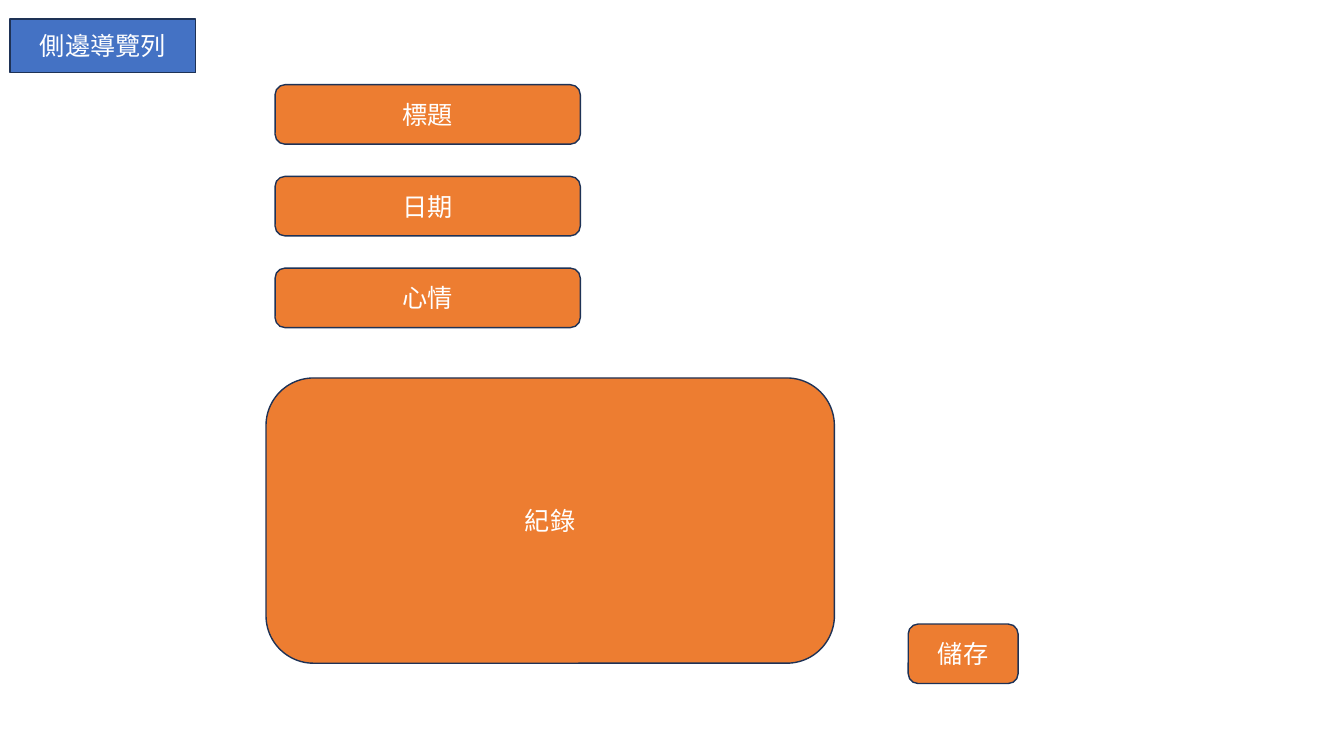
from dataclasses import dataclass

from pptx import Presentation
from pptx.dml.color import RGBColor
from pptx.enum.shapes import MSO_SHAPE
from pptx.enum.text import MSO_ANCHOR, PP_ALIGN
from pptx.util import Pt


@dataclass(frozen=True)
class Theme:
    navigation: RGBColor = RGBColor(0x44, 0x72, 0xC4)
    control: RGBColor = RGBColor(0xED, 0x7D, 0x31)
    outline: RGBColor = RGBColor(0x1E, 0x32, 0x56)
    text: RGBColor = RGBColor(0xFF, 0xFF, 0xFF)
    font: str = "Calibri"
    size: int = 18
    line_width: int = 1


THEME = Theme()
FIELD_HEIGHT = 42.5


def add_block(page, box, label, fill, preset=MSO_SHAPE.ROUNDED_RECTANGLE):
    block = page.shapes.add_shape(preset, *(Pt(length) for length in box))
    block.shadow.inherit = False
    block.fill.solid()
    block.fill.fore_color.rgb = fill
    block.line.color.rgb = THEME.outline
    block.line.width = Pt(THEME.line_width)
    frame = block.text_frame
    frame.word_wrap = True
    frame.vertical_anchor = MSO_ANCHOR.MIDDLE
    para = frame.paragraphs[0]
    para.text = label
    para.alignment = PP_ALIGN.CENTER
    para.font.name = THEME.font
    para.font.size = Pt(THEME.size)
    para.font.color.rgb = THEME.text


def add_navigation(page, box):
    add_block(page, box, "側邊導覽列", THEME.navigation, MSO_SHAPE.FLOWCHART_PROCESS)


def add_fields(page, box, labels):
    left, top, width, height = box
    pitch = (height - FIELD_HEIGHT) / (len(labels) - 1)
    for row, label in enumerate(labels):
        field = (left, top + row * pitch, width, FIELD_HEIGHT)
        add_block(page, field, label, THEME.control)


def add_editor(page, box):
    left, top, width, height = box
    add_fields(page, (left + 6.5, top, 218, 173.5), ["標題", "日期", "心情"])
    add_block(page, (left, top + 209.5, 406, 203.75), "紀錄", THEME.control)
    save_width = 78.5
    save_box = (left + width - save_width, top + height - FIELD_HEIGHT,
                save_width, FIELD_HEIGHT)
    add_block(page, save_box, "儲存", THEME.control)


def main():
    deck = Presentation()
    deck.slide_width = Pt(960)
    deck.slide_height = Pt(540)
    page = deck.slides.add_slide(deck.slide_layouts[6])
    add_editor(page, (190, 60.5, 537.25, 427.75))
    add_navigation(page, (7.2, 13.7, 132.5, 38.2))
    deck.save("out.pptx")


if __name__ == "__main__":
    main()
